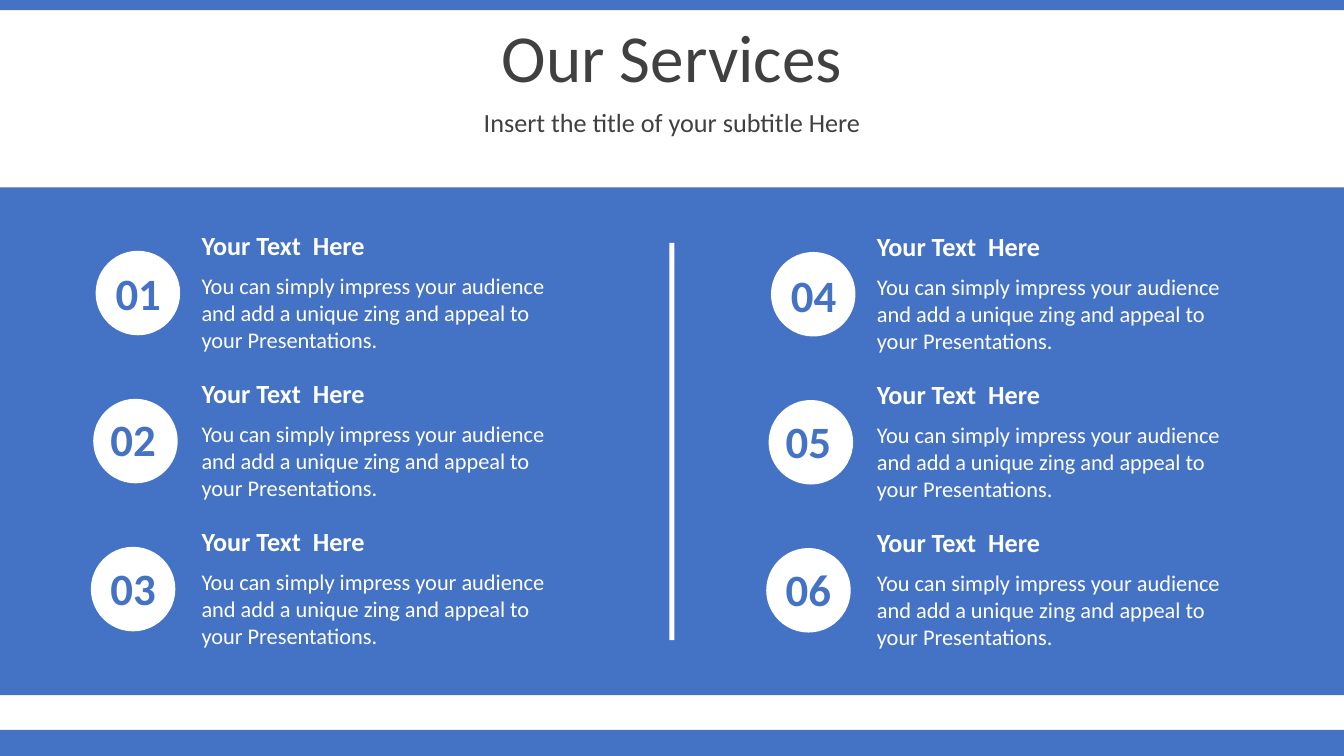
from pptx import Presentation
from pptx.dml.color import RGBColor
from pptx.enum import shapes, text
from pptx.util import Cm, Pt

COLORS = {"blue": "4472C4", "white": "FFFFFF", "dark": "404040"}
FONT = "Calibri"
WIDTH, HEIGHT = 33.87, 19.05

HEADING = "Your Text  Here"
BODY = ("You can simply impress your audience and add a unique zing "
        "and appeal to your Presentations.")

# Service grid, in cm
ROWS = 3
COLUMN_STEP, COLUMN_DROP = 17.02, 0.03
ROW_STEP, CIRCLE_DRIFT = 3.73, 0.06
CIRCLE = 2.13
# Left and top of each row's number, measured from the first row's origin
NUMBER_OFFSETS = [(2.29, 6.58), (2.16, 10.26), (2.16, 14.0)]


def color(name):
    return RGBColor.from_string(COLORS[name])


def format_text(tf, content, size, fill, bold=False, align=None):
    tf.text = content
    tf.word_wrap = True
    p = tf.paragraphs[0]
    if align is not None:
        p.alignment = align
    font = p.runs[0].font
    font.name, font.size, font.bold = FONT, Pt(size), bold
    font.color.rgb = color(fill)
    return p


def add_block(s, kind, left, top, width, height, fill):
    sp = s.shapes.add_shape(kind, Cm(left), Cm(top), Cm(width), Cm(height))
    sp.shadow.inherit = False
    sp.fill.solid()
    sp.fill.fore_color.rgb = color(fill)
    sp.line.fill.background()


def add_label(parent, left, top, width, height, content, *style, **options):
    sp = parent.shapes.add_textbox(Cm(left), Cm(top), Cm(width), Cm(height))
    format_text(sp.text_frame, content, *style, **options)
    sp.text_frame.auto_size = text.MSO_AUTO_SIZE.SHAPE_TO_FIT_TEXT


def fill_placeholder(sp, top, height, content, size):
    sp.left, sp.top, sp.width, sp.height = Cm(0), Cm(top), Cm(WIDTH), Cm(height)
    tf = sp.text_frame
    p = format_text(tf, content, size, "dark", align=text.PP_ALIGN.CENTER)
    p.line_spacing, p.space_before = 0.9, Pt(0)
    tf.vertical_anchor = text.MSO_ANCHOR.MIDDLE
    tf.auto_size = text.MSO_AUTO_SIZE.NONE


def add_service(s, index):
    column, row = divmod(index, ROWS)
    dx = column * COLUMN_STEP
    drop = column * COLUMN_DROP
    dy = row * ROW_STEP + drop

    # Circle and its number
    add_block(s, shapes.MSO_SHAPE.OVAL, 2.41 + dx - row * CIRCLE_DRIFT,
              6.32 + dy, CIRCLE, CIRCLE, "white")
    left, top = NUMBER_OFFSETS[row]
    add_label(s, left + dx, top + drop, 2.39, 1.63, f"{index + 1:02d}",
              32, "blue", bold=True, align=text.PP_ALIGN.CENTER)

    # Description and heading
    group = s.shapes.add_group_shape()
    add_label(group, 4.83 + dx, 6.73 + dy, 9.86, 2.31, BODY, 16, "white")
    add_label(group, 4.83 + dx, 5.66 + dy, 9.86, 1.07, HEADING,
              18.7, "white", bold=True)


def main():
    prs = Presentation()
    prs.slide_width, prs.slide_height = Cm(WIDTH), Cm(HEIGHT)
    s = prs.slides.add_slide(prs.slide_layouts[0])

    # Title and subtitle
    fill_placeholder(s.shapes.title, 0.46, 2.13, "Our Services", 48)
    fill_placeholder(s.placeholders[1], 2.59, 1.07,
                     "Insert the title of your subtitle Here", 18.7)

    # Edge bars and main panel
    for top, height in [(18.39, 0.66), (0, 0.26), (4.72, 12.8)]:
        add_block(s, shapes.MSO_SHAPE.RECTANGLE, 0, top, WIDTH, height, "blue")

    # Services on both sides of the divider
    for index in range(2 * ROWS):
        add_service(s, index)
    add_block(s, shapes.MSO_SHAPE.RECTANGLE, 16.87, 6.12, 0.13, 10.01, "white")

    prs.save("out.pptx")


if __name__ == "__main__":
    main()
